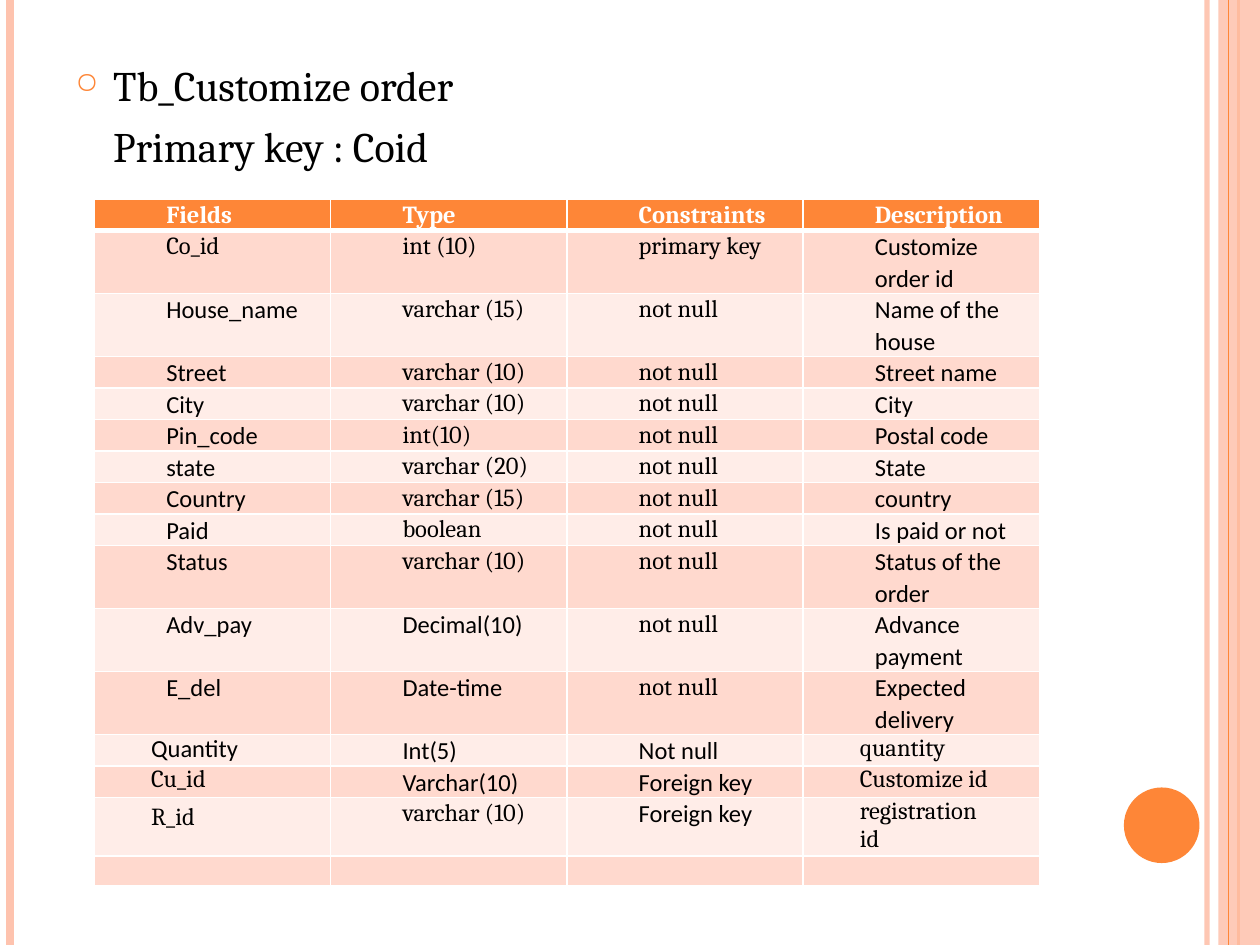
import pptx
import pptx.util
import pptx.dml.color
import pptx.enum.shapes
import pptx.oxml.ns
from lxml import etree

Inches, Pt = pptx.util.Inches, pptx.util.Pt
RGBColor = pptx.dml.color.RGBColor
KIND = pptx.enum.shapes.MSO_SHAPE
qn = pptx.oxml.ns.qn

ORANGE = RGBColor(0xFE, 0x86, 0x37)
PEACH = RGBColor(0xFE, 0xC3, 0xAE)
DARK = RGBColor(0xFF, 0xD9, 0xCE)
LIGHT = RGBColor(0xFF, 0xED, 0xE8)
WHITE = RGBColor(0xFF, 0xFF, 0xFF)
BLACK = RGBColor(0, 0, 0)

FONTS = {"m": "Cambria", "c": "Calibri"}
HEADS = ["Tb_Customize order", "Primary key : Coid"]

# Row height, font of each cell, cell texts
ONE, TWO = 0.23, 0.46
ROWS = [
    (ONE, "mmmm", ["Fields", "Type", "Constraints", "Description"]),
    (TWO, "mmmc", ["Co_id", "int (10)", "primary key", "Customize order id"]),
    (TWO, "cmmc", ["House_name", "varchar (15)", "not null", "Name of the house"]),
    (ONE, "cmmc", ["Street", "varchar (10)", "not null", "Street name"]),
    (ONE, "cmmc", ["City", "varchar (10)", "not null", "City"]),
    (ONE, "cmmc", ["Pin_code", "int(10)", "not null", "Postal code"]),
    (ONE, "cmmc", ["state", "varchar (20)", "not null", "State"]),
    (ONE, "cmmc", ["Country", "varchar (15)", "not null", "country"]),
    (ONE, "cmmc", ["Paid", "boolean", "not null", "Is paid or not"]),
    (TWO, "cmmc", ["Status", "varchar (10)", "not null", "Status of the order"]),
    (TWO, "ccmc", ["Adv_pay", "Decimal(10)", "not null", "Advance payment"]),
    (TWO, "ccmc", ["E_del", "Date-time", "not null", "Expected delivery"]),
    (ONE, "cccm", ["Quantity", "Int(5)", "Not null", "quantity"]),
    (ONE, "mccm", ["Cu_id", "Varchar(10)", "Foreign key", "Customize id"]),
    (0.44, "mmcm", ["R_id", "varchar (10)", "Foreign key", "registration\nid"]),
    (ONE, "mmmm", ["", "", "", ""]),
]
LOOSE = ("Quantity", "Cu_id", "R_id")  # rows whose outer cells sit further left

# x, colour, width, opacity
RULES = [(9.58, PEACH, 3, 93), (0.08, PEACH, 4.5, 100),
         (9.83, ORANGE, 1.5, 100), (9.75, ORANGE, 0.75, 100)]


def fade(part, level):
    for color in part.iter(qn("a:srgbClr")):
        etree.SubElement(color, qn("a:alpha"), val=str(level * 1000))


def add_rule(slide, x, color, width, level):
    rule = slide.shapes.add_connector(
        pptx.enum.shapes.MSO_CONNECTOR.STRAIGHT,
        Inches(x), 0, Inches(x), Inches(7.5))
    rule.line.color.rgb = color
    rule.line.width = Pt(width)
    props = rule._element.spPr
    if level < 100:
        fade(props, level)
    etree.SubElement(props, qn("a:effectLst"))


def add_shape(slide, kind, box, color):
    shape = slide.shapes.add_shape(kind, *map(Inches, box))
    shape.shadow.inherit = False
    shape.fill.solid()
    shape.fill.fore_color.rgb = color
    shape.line.fill.background()
    return shape


def add_run(para, text, font, size, color, bold=False):
    run = para.add_run()
    run.text = text
    run.font.name = font
    run.font.size = Pt(size)
    run.font.color.rgb = color
    run.font.bold = bold


def indent(para, left, first=0):
    props = para._p.get_or_add_pPr()
    props.set("marL", str(Inches(left)))
    props.set("indent", str(Inches(first)))
    return props


def add_edges(cell, base):
    props = cell._tc.get_or_add_tcPr()
    for side, width in zip("LRTB", (1, 1, 1, base)):
        edge = etree.SubElement(props, qn("a:ln" + side), w=str(Pt(width)))
        fill = etree.SubElement(edge, qn("a:solidFill"))
        etree.SubElement(fill, qn("a:srgbClr"), val=str(WHITE))


def fill_cell(cell, text, font, head, fill, loose):
    cell.margin_left = cell.margin_right = Inches(0.07)
    cell.margin_top = cell.margin_bottom = 0
    if text == "R_id":
        cell.margin_top = Inches(0.05)
    add_edges(cell, 3 if head else 1)
    cell.fill.solid()
    cell.fill.fore_color.rgb = fill
    frame = cell.text_frame
    for i, part in enumerate(text.split("\n")):
        para = frame.add_paragraph() if i else frame.paragraphs[0]
        if not part:
            etree.SubElement(para._p, qn("a:endParaRPr"), sz="1400")
            continue
        indent(para, 0.38 if loose else 0.5)
        if not loose:
            para.line_spacing = 1.07
        add_run(para, part, font, 14, WHITE if head else BLACK, head)


deck = pptx.Presentation()
deck.slide_width, deck.slide_height = Inches(10), Inches(7.5)
slide = deck.slides.add_slide(deck.slide_layouts[6])

# Side bands and disc
for rule in RULES[:3]:
    add_rule(slide, *rule)
band = add_shape(slide, KIND.RECTANGLE, (9.67, 0, 0.33, 7.5), PEACH)
fade(band._element.spPr, 87)
add_rule(slide, *RULES[3])
add_shape(slide, KIND.OVAL, (8.92, 6.25, 0.6, 0.6), ORANGE)

# Heading
frame = slide.shapes.add_textbox(
    Inches(0.5), Inches(0.42), Inches(8.17), Inches(1.08)).text_frame
frame.word_wrap = True
for i, text in enumerate(HEADS):
    para = frame.add_paragraph() if i else frame.paragraphs[0]
    if i:
        indent(para, 0.3)
        para.space_before = Pt(6)
    else:
        props = indent(para, 0.3, -0.3)
        tint = etree.SubElement(props, qn("a:buClr"))
        etree.SubElement(tint, qn("a:srgbClr"), val=str(ORANGE))
        etree.SubElement(props, qn("a:buSzPct"), val="70000")
        etree.SubElement(props, qn("a:buChar"), char="○")
    add_run(para, text, "Cambria", 24, BLACK)

# Field table
table = slide.shapes.add_table(
    len(ROWS), 4, Inches(0.75), Inches(1.58), Inches(7.5),
    Inches(sum(row[0] for row in ROWS))).table
for r, (height, fonts, texts) in enumerate(ROWS):
    table.rows[r].height = Inches(height)
    fill = (DARK if r % 2 else LIGHT) if r else ORANGE
    for c, (font, text) in enumerate(zip(fonts, texts)):
        loose = texts[0] in LOOSE and c in (0, 3)
        fill_cell(table.cell(r, c), text, FONTS[font], r == 0, fill, loose)

deck.save("out.pptx")
